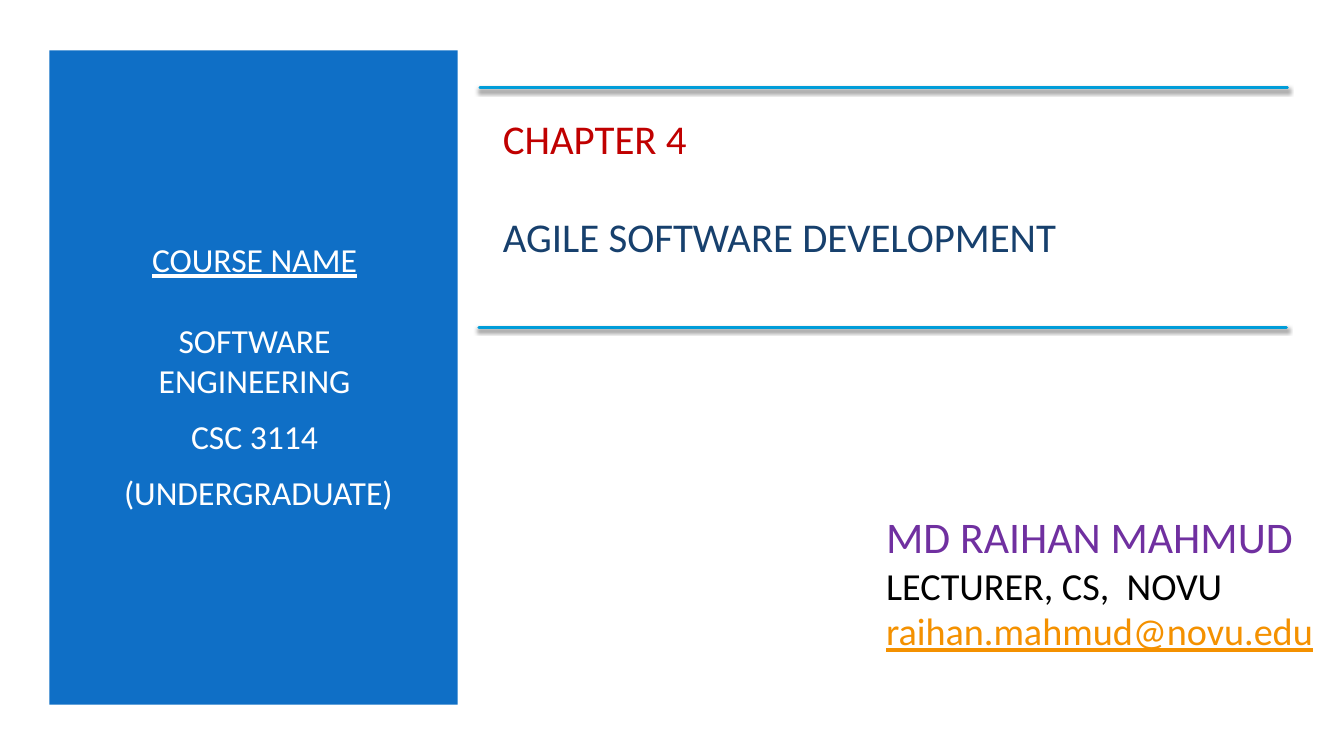
"""Build the title slide of a course chapter on agile software development."""
from dataclasses import dataclass

from lxml import etree
from pptx import Presentation
from pptx.dml.color import RGBColor
from pptx.enum.shapes import MSO_CONNECTOR, MSO_SHAPE
from pptx.enum.text import MSO_ANCHOR, PP_ALIGN
from pptx.oxml import parse_xml
from pptx.oxml.ns import nsdecls, qn
from pptx.util import Inches, Pt

RECTANGLE = MSO_SHAPE.RECTANGLE
STRAIGHT = MSO_CONNECTOR.STRAIGHT
MIDDLE = MSO_ANCHOR.MIDDLE
LEFT = PP_ALIGN.LEFT
CENTER = PP_ALIGN.CENTER

SLIDE_WIDTH = Inches(13.33)
SLIDE_HEIGHT = Inches(7.5)
FONT = "Calibri"
WHITE = "FFFFFF"
BLUE = "0F6FC6"
CYAN = "009DD9"
RED = "C00000"
NAVY = "17406D"
PURPLE = "7030A0"
BLACK = "000000"
ORANGE = "F49100"
SHADOW_XML = (
    f'<a:effectLst {nsdecls("a")}>'
    '<a:outerShdw blurRad="38100" dist="25400" dir="5400000" rotWithShape="0">'
    '<a:srgbClr val="000000"><a:alpha val="55000"/></a:srgbClr>'
    "</a:outerShdw></a:effectLst>"
)


@dataclass(frozen=True)
class Area:
    """A rectangle in percent of the slide's width and height."""
    left: float
    top: float
    width: float
    height: float

    def box(self) -> tuple[int, int, int, int]:
        return (across(self.left), down(self.top), across(self.width), down(self.height))


@dataclass(frozen=True)
class Line:
    """One paragraph with its type size, colour and spacing in points."""
    text: str
    size: float
    color: str
    underline: bool = False
    before: float = 0
    after: float = 0
    align: PP_ALIGN = LEFT


@dataclass(frozen=True)
class Block:
    """A text area and its paragraphs."""
    area: Area
    lines: tuple[Line, ...]


@dataclass(frozen=True)
class Rule:
    """A horizontal rule in percent of the slide."""
    start: float
    end: float
    height: float


def course_line(text: str, underline: bool = False, after: float = 6) -> Line:
    """Describe a line on the course panel."""
    return Line(text, 24, WHITE, underline, 5, after, CENTER)


PANELS = (
    (Area(0, 0, 100, 100), WHITE),
    (Area(3.68, 6.67, 30.38, 86.53), BLUE),
)
BLOCKS = (
    Block(Area(6.3, 14.67, 25.28, 70), (
        course_line("COURSE NAME", underline=True, after=24),
        course_line("SOFTWARE ENGINEERING"),
        course_line("CSC 3114"),
        course_line(" (UNDERGRADUATE)"),
    )),
    Block(Area(36.68, 14.67, 58.89, 20.13), (
        Line("CHAPTER 4", 29.2, RED, after=35.5),
        Line("AGILE SOFTWARE DEVELOPMENT", 29.2, NAVY),
    )),
    Block(Area(65.19, 66.53, 34.8, 20.8), (
        Line("MD RAIHAN MAHMUD", 31.2, PURPLE),
        Line("LECTURER, CS,  NOVU", 27.3, BLACK),
        Line("raihan.mahmud@novu.edu", 27.3, ORANGE, underline=True),
    )),
)
RULES = (Rule(35.71, 95.8, 11.6), Rule(35.63, 95.72, 43.33))


def across(percent: float) -> int:
    """Turn a share of the slide's width into a length."""
    return round(SLIDE_WIDTH * percent / 100)


def down(percent: float) -> int:
    """Turn a share of the slide's height into a length."""
    return round(SLIDE_HEIGHT * percent / 100)


def rgb(value: str) -> RGBColor:
    """Turn a hex string into a colour."""
    return RGBColor.from_string(value)


def apply_format(target: object, values: dict[str, object]) -> None:
    """Set each named attribute on the target."""
    for attribute, value in values.items():
        setattr(target, attribute, value)


def draw_panel(slide, area: Area, color: str) -> None:
    """Draw a plain filled rectangle."""
    panel = slide.shapes.add_shape(RECTANGLE, *area.box())
    panel.shadow.inherit = False
    panel.fill.solid()
    panel.fill.fore_color.rgb = rgb(color)
    panel.line.fill.background()


def draw_block(slide, block: Block) -> None:
    """Draw a text box with one paragraph per line."""
    frame = slide.shapes.add_textbox(*block.area.box()).text_frame
    apply_format(frame, {"word_wrap": True, "vertical_anchor": MIDDLE})
    for index, line in enumerate(block.lines):
        paragraph = frame.add_paragraph() if index else frame.paragraphs[0]
        apply_format(paragraph, {
            "alignment": line.align,
            "space_before": Pt(line.before),
            "space_after": Pt(line.after),
        })
        run = paragraph.add_run()
        run.text = line.text
        apply_format(run.font, {
            "name": FONT, "size": Pt(line.size), "underline": line.underline,
        })
        run.font.color.rgb = rgb(line.color)


def draw_rule(slide, rule: Rule) -> None:
    """Draw a round-ended rule with a soft shadow below it."""
    height = down(rule.height)
    connector = slide.shapes.add_connector(
        STRAIGHT, across(rule.start), height, across(rule.end), height)
    connector.line.width = Pt(2)
    connector.line.color.rgb = rgb(CYAN)
    properties = connector._element.spPr
    properties.find(qn("a:ln")).set("cap", "rnd")
    properties.append(parse_xml(etree.tostring(etree.fromstring(SHADOW_XML))))


def main() -> None:
    """Draw the slide and save it."""
    deck = Presentation()
    apply_format(deck, {"slide_width": SLIDE_WIDTH, "slide_height": SLIDE_HEIGHT})
    slide = deck.slides.add_slide(deck.slide_layouts[6])
    for area, color in PANELS:
        draw_panel(slide, area, color)
    for block in BLOCKS:
        draw_block(slide, block)
    for rule in RULES:
        draw_rule(slide, rule)
    deck.save("out.pptx")


if __name__ == "__main__":
    main()
